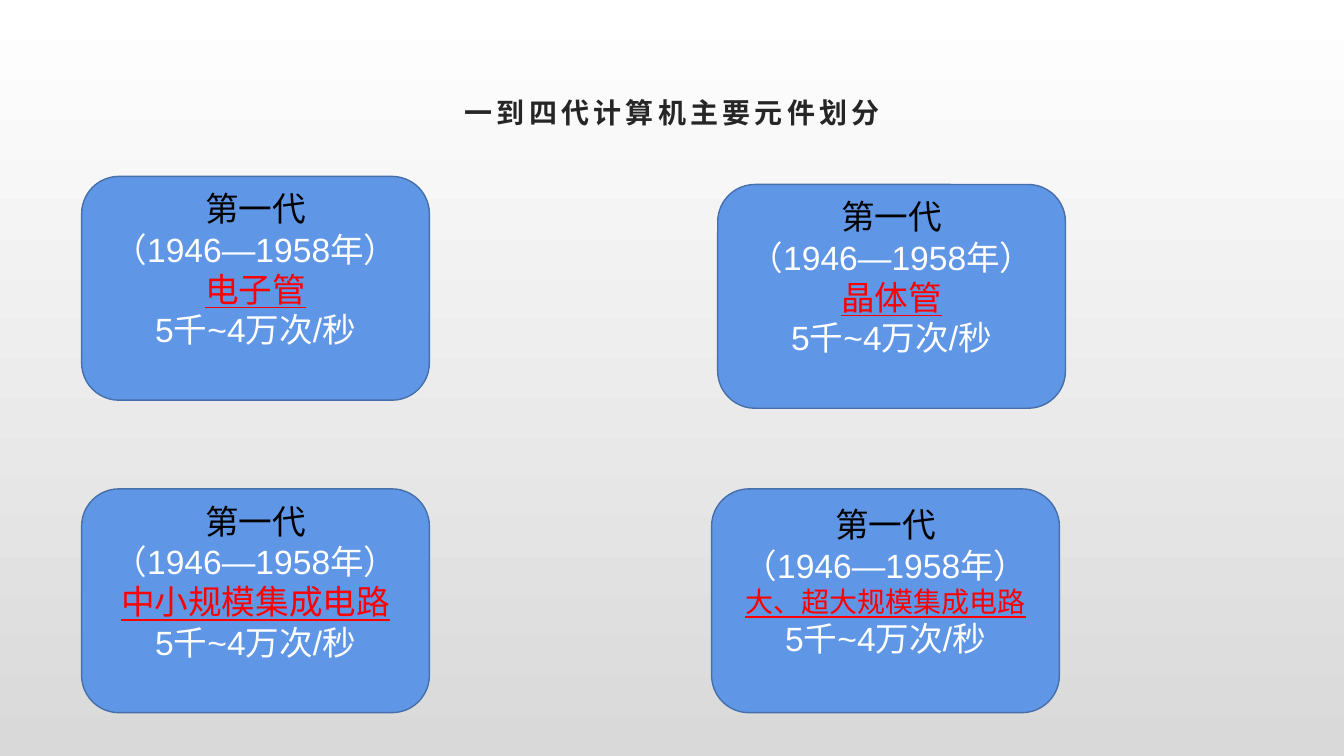
from pptx import Presentation
from pptx.dml.color import RGBColor
from pptx.enum.shapes import MSO_SHAPE
from pptx.enum.text import MSO_ANCHOR, PP_ALIGN
from pptx.util import Pt

COLORS = {
    "top": "FFFFFF", "base": "D9D9D9", "title": "262626",
    "card": "6096E6", "edge": "476FAA",
    "black": "000000", "white": "FFFFFF", "red": "FF0000",
}
CARD_W, CARD_H = 248.4, 159.84
CARDS = [
    (58.32, 126, "电子管", 24),
    (512.64, 131.76, "晶体管", 24),
    (58.32, 349.2, "中小规模集成电路", 24),
    (508.32, 349.2, "大、超大规模集成电路", 20),
]


def color(name):
    return RGBColor.from_string(COLORS[name])


def write(para, text, size=24, ink="white", bold=False, line=False, gap=0):
    """Add one centred run; gap is the letter spacing in points."""
    para.alignment = PP_ALIGN.CENTER
    run = para.add_run()
    run.text = text
    font = run.font
    font.name, font.size = "Arial", Pt(size)
    font.bold, font.underline = bold, line
    font.color.rgb = color(ink)
    if gap:
        run._r.get_or_add_rPr().set("spc", str(gap * 100))


def paint(slide):
    """Fill the background from light at the top to grey at the base."""
    fill = slide.background.fill
    fill.gradient()
    fill.gradient_angle = 270
    for stop, place, name in zip(fill.gradient_stops, (0, 1), ("top", "base")):
        stop.position = place
        stop.color.rgb = color(name)


def title(slide, left, top, width, height):
    box = slide.shapes.add_textbox(Pt(left), Pt(top), Pt(width), Pt(height))
    frame = box.text_frame
    frame.word_wrap = True
    frame.vertical_anchor = MSO_ANCHOR.BOTTOM
    write(frame.paragraphs[0], "一到四代计算机主要元件划分",
          size=20, ink="title", bold=True, gap=3)


def card(slide, left, top, part, size):
    shape = slide.shapes.add_shape(
        MSO_SHAPE.FLOWCHART_ALTERNATE_PROCESS,
        Pt(left), Pt(top), Pt(CARD_W), Pt(CARD_H))
    shape.shadow.inherit = False
    shape.fill.solid()
    shape.fill.fore_color.rgb = color("card")
    shape.line.color.rgb = color("edge")
    shape.line.width = Pt(1)
    frame = shape.text_frame
    frame.word_wrap = True
    frame.vertical_anchor = MSO_ANCHOR.MIDDLE
    frame.margin_bottom = Pt(31.2)
    rows = [
        ("第一代", {"ink": "black"}),
        ("（1946—1958年）", {}),
        (part, {"size": size, "ink": "red", "line": True}),
        ("5千~4万次/秒", {}),
    ]
    for i, (text, style) in enumerate(rows):
        para = frame.add_paragraph() if i else frame.paragraphs[0]
        write(para, text, **style)


def main():
    deck = Presentation()
    deck.slide_width, deck.slide_height = Pt(960), Pt(540)
    slide = deck.slides.add_slide(deck.slide_layouts[6])
    paint(slide)
    title(slide, 94.32, 46.8, 771.84, 48.96)
    for spec in CARDS:
        card(slide, *spec)
    deck.save("out.pptx")


if __name__ == "__main__":
    main()
